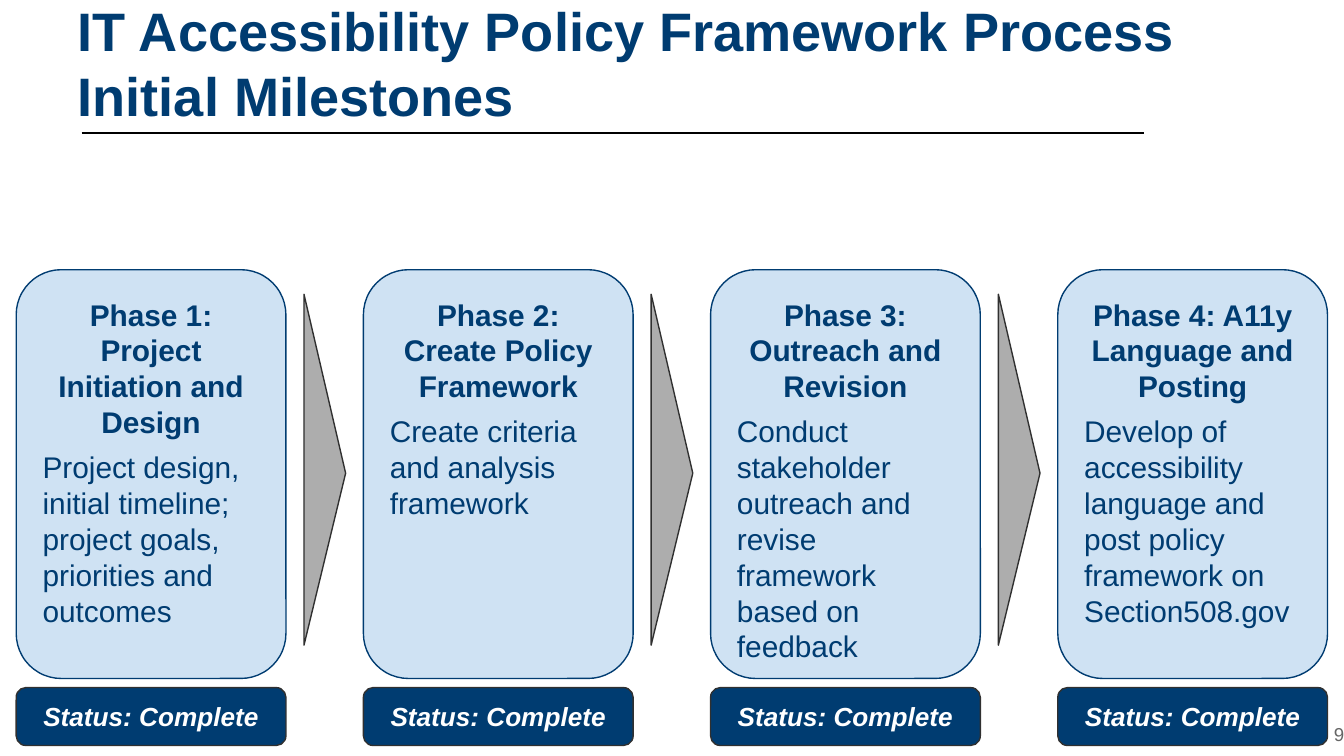
from pptx import Presentation
from pptx.dml.color import RGBColor
from pptx.enum.shapes import MSO_CONNECTOR, MSO_SHAPE as Shape
from pptx.enum.text import MSO_ANCHOR as Anchor, PP_ALIGN as Align
from pptx.oxml.ns import qn
from pptx.util import Pt
from lxml import etree

NAVY, PALE, GREY, DARK = "003C71", "CFE2F3", "ADADAD", "303030"


def color(hex_value):
    return RGBColor.from_string(hex_value)


def write(shape, paragraphs, anchor):
    """Fill a shape with (text, alignment, space before, colour, font format) paragraphs."""
    frame = shape.text_frame
    frame.word_wrap = True
    frame.vertical_anchor = anchor
    for side in ("left", "right", "top", "bottom"):
        setattr(frame, f"margin_{side}", Pt(7.2))
    for i, (text, align, before, ink, style) in enumerate(paragraphs):
        para = frame.paragraphs[0] if i == 0 else frame.add_paragraph()
        para.alignment = align
        para.space_before = Pt(before)
        run = para.add_run()
        run.text = text
        run.font.name = "Arial"
        run.font.color.rgb = color(ink)
        for name, value in style.items():
            setattr(run.font, name, value)


prs = Presentation()
prs.slide_width, prs.slide_height = Pt(720), Pt(405)
slide = prs.slides.add_slide(prs.slide_layouts[6])
shapes = slide.shapes

# Rule under the title
rule = shapes.add_connector(MSO_CONNECTOR.STRAIGHT, Pt(43.7), Pt(71.3), Pt(612.7), Pt(71.3))
rule.line.color.rgb = color("000000")
rule.line.width = Pt(1.5)
etree.SubElement(rule._element.spPr, qn("a:effectLst"))

# Title
title = shapes.add_textbox(Pt(34.6), Pt(6.5), Pt(632.9), Pt(69.1))
write(title, [("IT Accessibility Policy Framework Process Initial Milestones",
               Align.LEFT, 0, NAVY, {"size": Pt(29), "bold": True})], Anchor.BOTTOM)

# Phases, each with a status bar and an arrow to the next
phases = [
    ("Phase 1: Project Initiation and Design",
     "Project design, initial timeline; project goals, priorities and outcomes"),
    ("Phase 2: Create Policy Framework",
     "Create criteria and analysis framework"),
    ("Phase 3: Outreach and Revision",
     "Conduct stakeholder outreach and revise framework based on feedback"),
    ("Phase 4: A11y Language and Posting",
     "Develop of accessibility language and post policy framework on Section508.gov"),
]
pitch, first_left, card_width = 186, 8.7, 144.5

for i, (heading, details) in enumerate(phases):
    left = first_left + i * pitch
    card = shapes.add_shape(Shape.ROUNDED_RECTANGLE, Pt(left), Pt(144.5), Pt(card_width), Pt(219))
    status = shapes.add_shape(Shape.ROUNDED_RECTANGLE, Pt(left), Pt(368.4), Pt(card_width), Pt(31))
    parts = [(card, 0.167, PALE, NAVY), (status, 0.167, NAVY, DARK)]
    if i < len(phases) - 1:
        arrow = shapes.add_shape(Shape.ISOSCELES_TRIANGLE,
                                 Pt(left + 71.3), Pt(240.5), Pt(188), Pt(22.3))
        arrow.rotation = 90
        parts.append((arrow, 0.51, GREY, DARK))

    for part, adjustment, fill, outline in parts:
        part.shadow.inherit = False
        part.adjustments[0] = adjustment
        part.fill.solid()
        part.fill.fore_color.rgb = color(fill)
        part.line.color.rgb = color(outline)
        part.line.width = Pt(0.75)

    write(card, [(heading, Align.CENTER, 0, NAVY, {"size": Pt(16), "bold": True}),
                 (details, Align.LEFT, 5, NAVY, {"size": Pt(16), "bold": False})], Anchor.TOP)
    write(status, [("Status: Complete", Align.CENTER, 0, "FFFFFF",
                    {"size": Pt(14), "bold": True, "italic": True})], Anchor.MIDDLE)

# Page number
page_number = shapes.add_textbox(Pt(684), Pt(377.3), Pt(43.2), Pt(32.4))
write(page_number, [("9", Align.RIGHT, 0, "666666", {"size": Pt(10)})], Anchor.MIDDLE)

prs.save("out.pptx")
